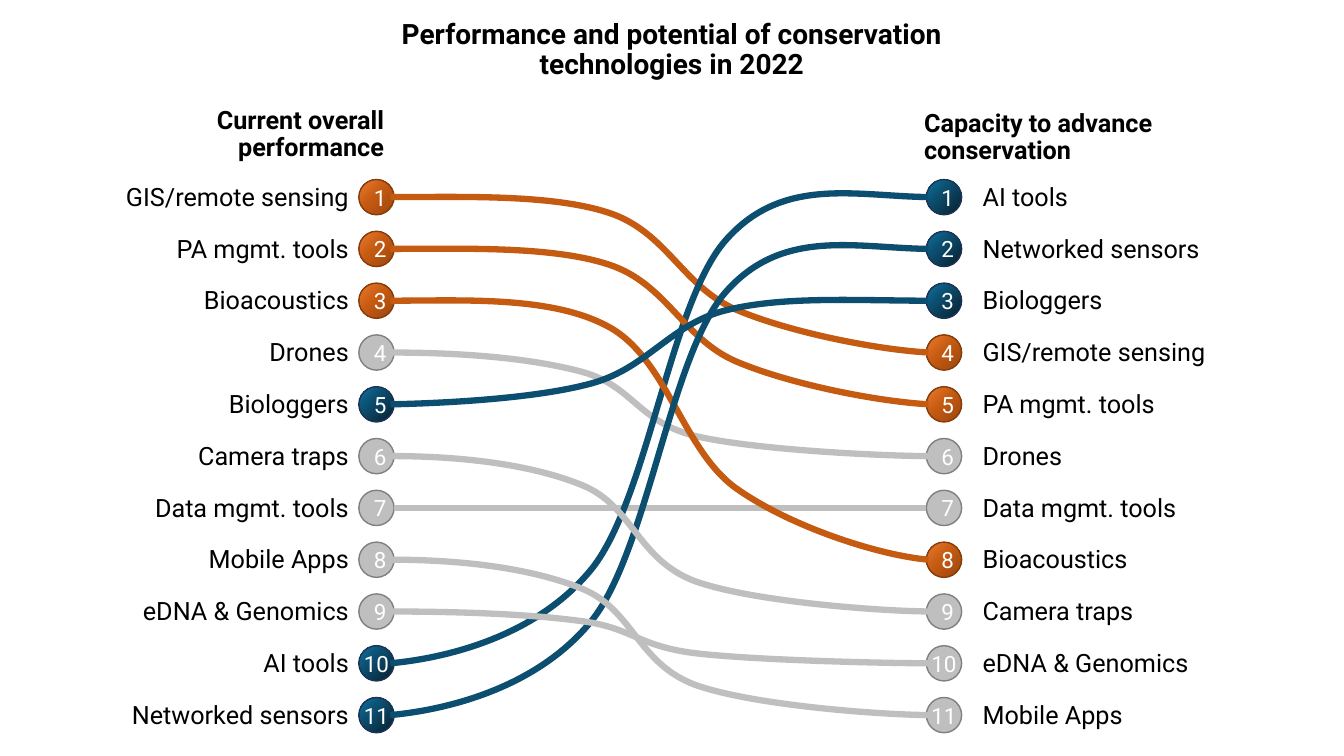
from lxml.etree import SubElement
from pptx import Presentation
from pptx.dml.color import RGBColor
from pptx.enum.shapes import MSO_CONNECTOR as Connector, MSO_SHAPE as Preset
from pptx.enum.text import MSO_ANCHOR as Anchor, MSO_AUTO_SIZE as AutoSize, PP_ALIGN as Align
from pptx.oxml.ns import qn
from pptx.util import Pt

# Content
TITLE = "Performance and potential of conservation technologies in 2022"
HEADINGS = ("Current overall performance", "Capacity to advance conservation")
PERFORMANCE = [
    "GIS/remote sensing", "PA mgmt. tools", "Bioacoustics", "Drones",
    "Biologgers", "Camera traps", "Data mgmt. tools", "Mobile Apps",
    "eDNA & Genomics", "AI tools", "Networked sensors",
]
CAPACITY = [
    "AI tools", "Networked sensors", "Biologgers", "GIS/remote sensing",
    "PA mgmt. tools", "Drones", "Data mgmt. tools", "Bioacoustics",
    "Camera traps", "eDNA & Genomics", "Mobile Apps",
]
# Trend of each technology, in drawing order of the links
TRENDS = {
    "Data mgmt. tools": "steady", "Drones": "steady",
    "GIS/remote sensing": "falling", "AI tools": "rising",
    "PA mgmt. tools": "falling", "Bioacoustics": "falling",
    "Networked sensors": "rising", "Biologgers": "rising",
    "Camera traps": "steady", "Mobile Apps": "steady",
    "eDNA & Genomics": "steady",
}
# Bezier points of a link, in percent of its width and height;
# rising links run from right to left
CURVES = {
    "steady": [(0, 0), (13.5, 0), (26.3, 5.5), (35.7, 18.8), (45.1, 32.2),
               (45.9, 66.5), (56.6, 80.5), (67.3, 93.7), (90.6, 99.7), (100, 100)],
    "falling": [(0, 0), (13.5, 0), (30, -2), (40.6, 10.1), (51.3, 22.2),
                (54.3, 57.3), (64.1, 72.2), (74, 87), (90.6, 98.3), (100, 100)],
    "rising": [(0, 0), (13.5, -0.2), (26.9, -4.5), (37.4, 8.9), (47.9, 22),
               (52, 64.1), (62.4, 79.5), (72.9, 94.7), (90.5, 99), (100, 100)],
}

# Theme
THEME = {
    "font": "Roboto", "text": "000000", "number": "FFFFFF",
    "title_size": 20, "heading_size": 18, "label_size": 18, "number_size": 16,
    "outline_width": 1, "link_width": 4.5, "heading_spacing": 0.9,
    "steady": {"link": "BFBFBF", "outline": "808080", "stops": None},
    "falling": {"link": "C55A11", "outline": "843C0B",
                "stops": [(0, "ED7D31"), (46, "C55A11"), (100, "99460F")]},
    "rising": {"link": "0C4E6F", "outline": "1E3256",
               "stops": [(0, "0C74A3"), (40, "0C4E6F"), (100, "071F2C")]},
}

# Layout, in points
ROW_TOP, ROW_PITCH, DOT = 128.2, 37, 25.2
LABEL_RISE, LABEL_WIDTH, LABEL_HEIGHT = 2.4, 220.3, 28.8
DOT_LEFTS = (256.3, 661.7)
LABEL_LEFTS = (36, 694.8)
LINK_LEFT, LINK_RIGHT = 278.8, 663.2
HEADING_BOXES = ((46.8, 73.4, 234.7, 43.2), (653, 75.6, 271.4, 43.2))
TITLE_BOX = (277.2, 10.8, 405.4, 43.2)
ALIGNMENTS = (Align.RIGHT, Align.LEFT)


def color(value):
    return RGBColor.from_string(value)


def assign(target, values):
    for name, value in values.items():
        setattr(target, name, value)


def write(shape, text, size, ink, align, bold=False, spacing=None,
          anchor=Anchor.TOP, wrap=True):
    frame = shape.text_frame
    assign(frame, {"text": text, "word_wrap": wrap, "vertical_anchor": anchor,
                   "auto_size": AutoSize.NONE})
    paragraph = frame.paragraphs[0]
    assign(paragraph, {"alignment": align, "line_spacing": spacing})
    font = paragraph.runs[0].font
    assign(font, {"name": THEME["font"], "size": Pt(size), "bold": bold})
    font.color.rgb = color(ink)


def add_text(slide, box, *args, **options):
    shape = slide.shapes.add_textbox(*map(Pt, box))
    write(shape, *args, **options)


def fill_radial(shape, stops):
    shape.fill.gradient()
    gradient = shape._element.spPr.find(qn("a:gradFill"))
    gradient.clear()
    gradient.set("rotWithShape", "1")
    stop_list = SubElement(gradient, qn("a:gsLst"))
    for percent, value in stops:
        stop = SubElement(stop_list, qn("a:gs"), pos=str(percent * 1000))
        SubElement(stop, qn("a:srgbClr"), val=value)
    circle = SubElement(gradient, qn("a:path"), **{"path": "circle"})
    SubElement(circle, qn("a:fillToRect"), r="100000", b="100000")


def add_dot(slide, left, rank, palette):
    top = ROW_TOP + (rank - 1) * ROW_PITCH
    dot = slide.shapes.add_shape(Preset.OVAL, Pt(left), Pt(top), Pt(DOT), Pt(DOT))
    dot.shadow.inherit = False
    if palette["stops"]:
        fill_radial(dot, palette["stops"])
    else:
        dot.fill.solid()
        dot.fill.fore_color.rgb = color(palette["link"])
    dot.line.color.rgb = color(palette["outline"])
    dot.line.width = Pt(THEME["outline_width"])
    write(dot, str(rank), THEME["number_size"], THEME["number"], Align.CENTER,
          anchor=Anchor.MIDDLE, wrap=rank < 10)


def add_curve(slide, start, end, curve):
    points = [tuple(Pt(a + (b - a) * share / 100)
                    for a, b, share in zip(start, end, shares))
              for shares in curve]
    nodes = points[::3]
    builder = slide.shapes.build_freeform(*nodes[0])
    builder.add_line_segments(nodes[1:], close=False)
    shape = builder.convert_to_shape()
    shape.shadow.inherit = False
    shape.fill.background()
    # Turn each straight segment into a cubic one
    left, top = (min(values) for values in zip(*nodes))
    for index, segment in enumerate(list(shape._element.iter(qn("a:lnTo")))):
        segment.clear()
        segment.tag = qn("a:cubicBezTo")
        for x, y in points[index * 3 + 1:index * 3 + 4]:
            SubElement(segment, qn("a:pt"), x=str(x - left), y=str(y - top))
    return shape


def add_link(slide, technology, trend):
    ranks = (PERFORMANCE.index(technology), CAPACITY.index(technology))
    left_y, right_y = (ROW_TOP + DOT / 2 + rank * ROW_PITCH for rank in ranks)
    if left_y == right_y:
        link = slide.shapes.add_connector(
            Connector.CURVE, Pt(DOT_LEFTS[0] + DOT), Pt(left_y),
            Pt(DOT_LEFTS[1]), Pt(right_y))
        SubElement(link._element.spPr, qn("a:effectLst"))
    else:
        ends = [(LINK_LEFT, left_y), (LINK_RIGHT, right_y)]
        if trend == "rising":
            ends.reverse()
        link = add_curve(slide, *ends, CURVES[trend])
    link.line.color.rgb = color(THEME[trend]["link"])
    link.line.width = Pt(THEME["link_width"])


def main():
    presentation = Presentation()
    assign(presentation, {"slide_width": Pt(960), "slide_height": Pt(540)})
    slide = presentation.slides.add_slide(presentation.slide_layouts[5])

    # Title and column headings
    title = slide.shapes.title
    assign(title, dict(zip(("left", "top", "width", "height"), map(Pt, TITLE_BOX))))
    heading_style = {"bold": True, "spacing": THEME["heading_spacing"]}
    write(title, TITLE, THEME["title_size"], THEME["text"], Align.CENTER, **heading_style)
    for box, heading, align in zip(HEADING_BOXES, HEADINGS, ALIGNMENTS):
        add_text(slide, box, heading, THEME["heading_size"], THEME["text"], align,
                 **heading_style)

    # Ranked columns
    columns = zip((PERFORMANCE, CAPACITY), DOT_LEFTS, LABEL_LEFTS, ALIGNMENTS)
    for technologies, dot_left, label_left, align in columns:
        for rank, technology in enumerate(technologies, start=1):
            add_dot(slide, dot_left, rank, THEME[TRENDS[technology]])
            label_top = ROW_TOP - LABEL_RISE + (rank - 1) * ROW_PITCH
            add_text(slide, (label_left, label_top, LABEL_WIDTH, LABEL_HEIGHT),
                     technology, THEME["label_size"], THEME["text"], align)

    # Links between the columns
    for technology, trend in TRENDS.items():
        add_link(slide, technology, trend)

    presentation.save("out.pptx")


if __name__ == "__main__":
    main()
